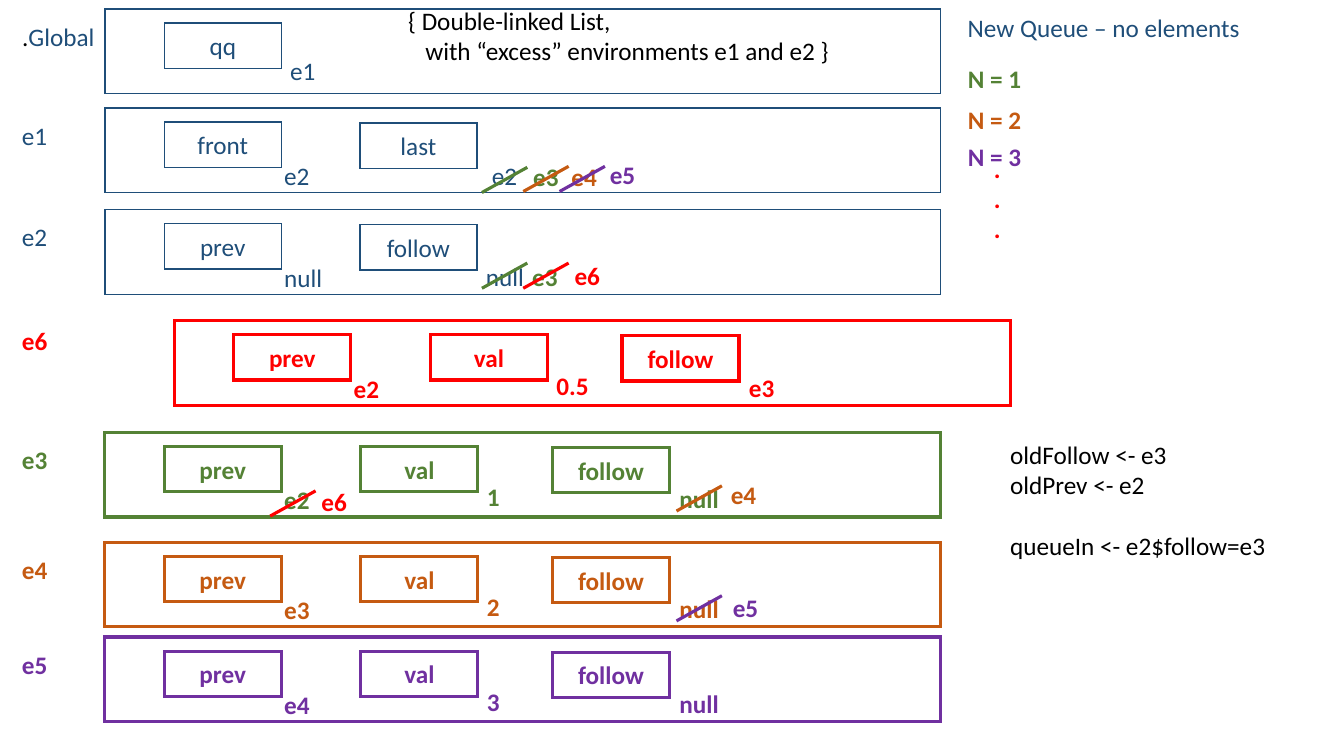
from lxml import etree
from pptx import Presentation
from pptx import util as u
from pptx.dml.color import RGBColor
from pptx.enum import shapes, text
from pptx.oxml.ns import qn

PX = 9144  # EMU; 100 px to the inch
BLUE = RGBColor(0x1F, 0x4E, 0x79)
GREEN = RGBColor(0x54, 0x82, 0x35)
ORANGE = RGBColor(0xC5, 0x5A, 0x11)
PURPLE = RGBColor(0x70, 0x30, 0xA0)
RED = RGBColor(0xFF, 0, 0)
BLACK = RGBColor(0, 0, 0)

FRAME_SIZE = (829, 84)
CELL_SIZE = (116, 45)
LABEL_LEFT = 12
STRIKE = (-45, 25)
WIDTHS = {1: 34, 2: 47, 3: 54, 4: 62, 5: 75}  # by number of letters

# Offsets of a cell from its frame
FIRST, SECOND, THIRD = (59, 14), (254, 14), (444, 15)
LOWER_SECOND = (253, 15)


def element_cells(previous, value, following):
    """Cells of a list element; each value has its offset from its cell."""
    return [("prev", FIRST, previous, (109, 33)),
            ("val", SECOND, value, (115, 30)),
            ("follow", THIRD, following, (116, 31))]


# label, label offset, frame left, frame top, colour, cells
ENVIRONMENTS = [
    (".Global", 7, 104, 9, BLUE, [("qq", FIRST, "e1", (115, 27))]),
    ("e1", 7, 104, 107, BLUE, [("front", FIRST, "e2", (109, 33)),
                               ("last", LOWER_SECOND, "e2", (121, 32))]),
    ("e2", 7, 104, 208, BLUE, [("prev", FIRST, "null", (109, 33)),
                               ("follow", LOWER_SECOND, "null", (115, 31))]),
    ("e6", 0, 173, 318, RED, element_cells("e2", "0.5", "e3")),
    ("e3", 7, 104, 429, GREEN, element_cells("e2", "1", "null")),
    ("e4", 7, 104, 538, ORANGE, element_cells("e3", "2", "null")),
    ("e5", 7, 104, 632, PURPLE, element_cells("e4", "3", "null")),
]

# new value, its place, top right of the strike through the old one, colour
UPDATES = [
    ("e3", (519, 155), (523, 166), GREEN),
    ("e4", (557, 155), (564, 165), ORANGE),
    ("e5", (595, 153), (600, 165), PURPLE),
    ("e3", (518, 254), (523, 261), GREEN),
    ("e6", (560, 253), (564, 261), RED),
    ("e6", (309, 478), (313, 487), RED),
    ("e4", (715, 471), (716, 482), ORANGE),
    ("e5", (717, 583), (716, 591), PURPLE),
]

STEPS = [("N = 1", 58, GREEN), ("N = 2", 99, ORANGE), ("N = 3", 135, PURPLE)]
STEPS_LEFT = 950

# lines, place, width, colour
NOTES = [
    (["New Queue – no elements"], (950, 7), 293, BLUE),
    ([".", ".", "."], (976, 147), 27, RED),
    (["oldFollow <- e3", "oldPrev <- e2", "queueIn <- e2$follow=e3"],
     (992, 431), 277, BLACK),
    (["{ Double-linked List,", "with “excess” environments e1 and e2 }"],
     (395, 0), 442, BLACK),
]


def shift(start, offset):
    return start[0] + offset[0], start[1] + offset[1]


def emu(*lengths):
    return [length * PX for length in lengths]


def is_bold(colour):
    return colour not in (BLUE, BLACK)


def add_span(para, words, colour):
    span = para.add_run()
    span.text = words
    form = {"name": "Calibri", "size": u.Pt(18), "bold": is_bold(colour)}
    for key, value in form.items():
        setattr(span.font, key, value)
    span.font.color.rgb = colour


def add_text(page, lines, place, colour, width=None):
    width = width or WIDTHS[len(lines[0])]
    box = page.shapes.add_textbox(*emu(*place, width, 10 + 30 * len(lines)))
    frame = box.text_frame
    frame.word_wrap = False
    frame.auto_size = text.MSO_AUTO_SIZE.SHAPE_TO_FIT_TEXT
    for number, line in enumerate(lines):
        para = frame.add_paragraph() if number else frame.paragraphs[0]
        if line:
            add_span(para, line, colour)
    return box


def add_box(page, place, size, colour, words=""):
    box = page.shapes.add_shape(shapes.MSO_SHAPE.RECTANGLE, *emu(*place, *size))
    box.shadow.inherit = False
    box.fill.background()
    box.line.color.rgb = colour
    box.line.width = u.Pt(2.25 if is_bold(colour) else 1)
    outline = box._element.spPr.find(qn("a:ln"))
    etree.SubElement(outline, qn("a:miter")).set("lim", "800000")
    if words:
        box.text_frame.vertical_anchor = text.MSO_ANCHOR.MIDDLE
        para = box.text_frame.paragraphs[0]
        para.alignment = text.PP_ALIGN.CENTER
        add_span(para, words, colour)


def add_strike(page, start, colour):
    line = page.shapes.add_connector(
        shapes.MSO_CONNECTOR.STRAIGHT, *emu(*start, *shift(start, STRIKE)))
    line.line.color.rgb = colour
    line.line.width = u.Pt(2.25)
    etree.SubElement(line._element.spPr, qn("a:effectLst"))


def add_environment(page, label, label_drop, left, top, colour, cells):
    place = (LABEL_LEFT, top + label_drop)
    if label.startswith("."):
        box = add_text(page, [""], place, BLACK, 92)
        para = box.text_frame.paragraphs[0]
        add_span(para, label[0], BLACK)
        add_span(para, label[1:], colour)
    else:
        add_text(page, [label], place, colour)
    add_box(page, (left, top), FRAME_SIZE, colour)
    for name, offset, value, value_offset in cells:
        corner = shift((left, top), offset)
        add_box(page, corner, CELL_SIZE, colour, name)
        add_text(page, [value], shift(corner, value_offset), colour)


def main():
    deck = Presentation()
    deck.slide_width, deck.slide_height = u.Inches(13.33), u.Inches(7.5)
    page = deck.slides.add_slide(deck.slide_layouts[6])
    for environment in ENVIRONMENTS:
        add_environment(page, *environment)
    for value, place, strike_start, colour in UPDATES:
        add_text(page, [value], place, colour)
        add_strike(page, strike_start, colour)
    for step, top, colour in STEPS:
        add_text(page, [step], (STEPS_LEFT, top), colour)
    notes = [add_text(page, lines, place, colour, width)
             for lines, place, width, colour in NOTES]
    code, caption = notes[2:]
    code.height = 131 * PX
    code.text_frame.paragraphs[2].space_before = u.Pt(22)
    caption.text_frame.paragraphs[1]._p.get_or_add_pPr().set("marL", str(17 * PX))
    deck.save("out.pptx")


if __name__ == "__main__":
    main()
